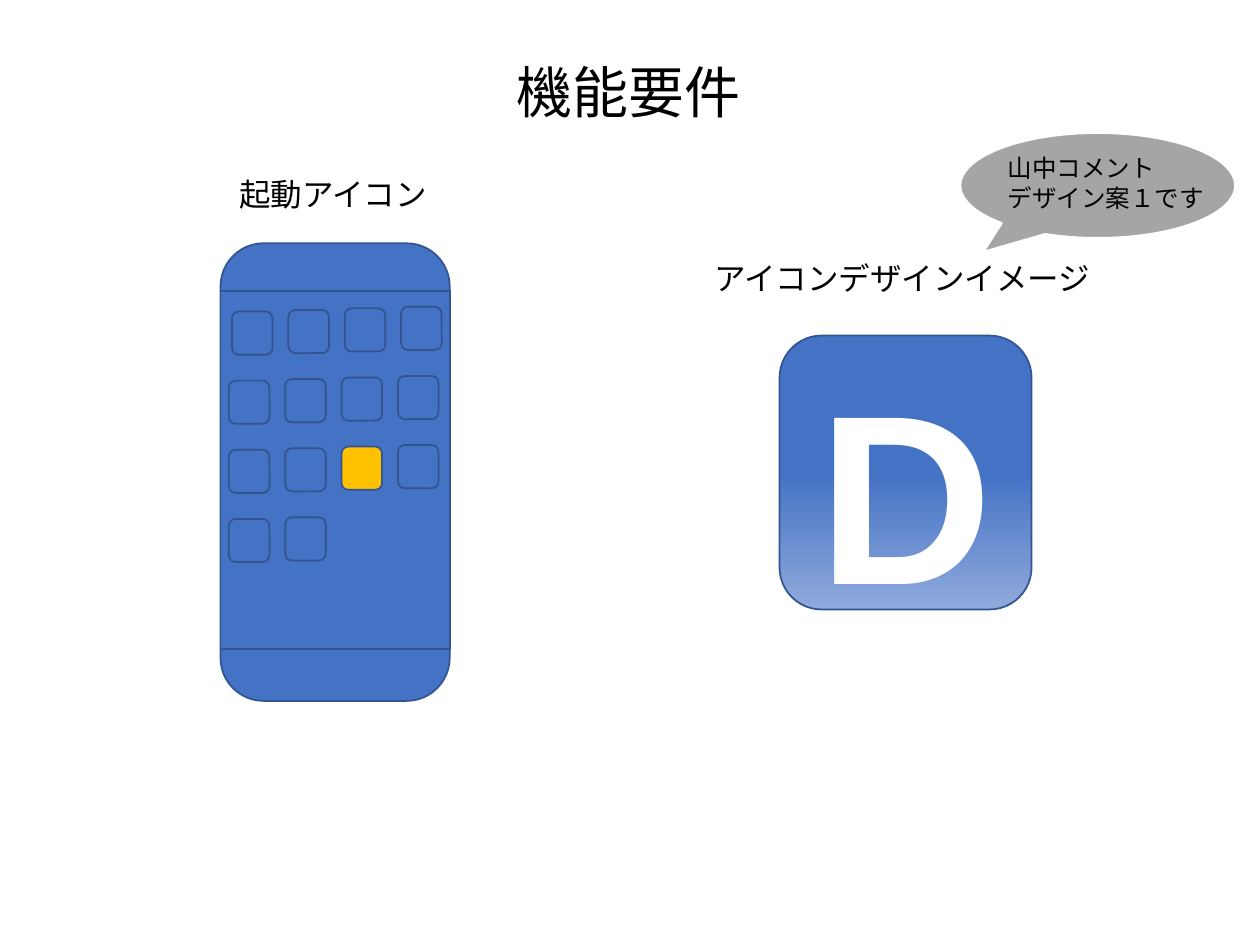
from copy import deepcopy

from lxml import etree
from pptx import Presentation
from pptx import util as u
from pptx.dml.color import RGBColor
from pptx.enum import shapes, text
from pptx.oxml.ns import qn

COLOURS = {
    "blue": "4472C4",
    "pale blue": "8FAADC",
    "outline": "325491",
    "gold": "FFC000",
    "grey": "A5A5A5",
    "white": "FFFFFF",
    "black": "000000",
}
JAPANESE, LATIN = "Noto Sans CJK JP", "Arial"
SHAPE = shapes.MSO_SHAPE


def colour(name):
    return RGBColor.from_string(COLOURS[name])


class SlideBuilder:
    """Holds the style and the current slide; all lengths are in points."""

    def __init__(self, page, line="outline", weight=1):
        self.page = page
        self.line = line
        self.weight = weight

    def shape(self, kind, frame, fill="blue", line=None, weight=None, adjust=()):
        item = self.page.shapes.add_shape(kind, *map(u.Pt, frame))
        item.shadow.inherit = False
        item.fill.solid()
        item.fill.fore_color.rgb = colour(fill)
        item.line.color.rgb = colour(line or self.line)
        item.line.width = u.Pt(weight or self.weight)
        for index, value in enumerate(adjust):
            item.adjustments[index] = value
        return item

    def gradient_shape(self, kind, frame, stops):
        item = self.shape(kind, frame)
        item.fill.gradient()
        item.fill.gradient_angle = 270  # downwards
        stop_list = item.fill.gradient_stops[0]._gs.getparent()
        while len(stop_list) < len(stops):
            stop_list.append(deepcopy(stop_list[0]))
        for stop, (position, name) in zip(item.fill.gradient_stops, stops):
            stop.position = position
            stop.color.rgb = colour(name)

    def label(self, frame, words, size, font=JAPANESE, fill="black", bold=False,
              align=text.PP_ALIGN.LEFT, anchor=text.MSO_ANCHOR.TOP):
        box = self.page.shapes.add_textbox(*map(u.Pt, frame))
        body = box.text_frame
        body.text = words
        body.word_wrap = False
        body.auto_size = text.MSO_AUTO_SIZE.SHAPE_TO_FIT_TEXT
        body.vertical_anchor = anchor
        for para in body.paragraphs:
            para.alignment = align
            for span in para.runs:
                span.font.size = u.Pt(size)
                span.font.bold = bold
                span.font.color.rgb = colour(fill)
                span.font.name = font
                # East Asian typeface
                etree.SubElement(span.font._element, qn("a:ea"), typeface=font)


def main():
    deck = Presentation()
    deck.slide_width, deck.slide_height = u.Pt(720), u.Pt(540)
    page = deck.slides.add_slide(deck.slide_layouts[6])
    builder = SlideBuilder(page)

    # Phone body and screen
    builder.shape(SHAPE.ROUNDED_RECTANGLE, (126, 139, 131, 261.5), adjust=[0.188])
    builder.shape(SHAPE.RECTANGLE, (126, 166.5, 131, 204.5))

    # App icons: each row climbs slightly, the first sits a little to the right
    for row, count in enumerate((4, 4, 4, 2)):
        left = 132.6 if row == 0 else 130.8
        for column in reversed(range(count)):
            builder.shape(
                SHAPE.ROUNDED_RECTANGLE,
                (left + 32.2 * column, 178 + 39.5 * row - 0.9 * column, 23.2, 24.7),
                fill="gold" if (row, column) == (2, 2) else "blue",
            )
    builder.label((129.6, 96.5, 124, 29), "起動アイコン", 18)

    # Slide title
    builder.label((288, 29.5, 144, 46), "機能要件", 32)

    # Icon design
    builder.gradient_shape(SHAPE.ROUNDED_RECTANGLE, (445.5, 191.75, 144, 156.5),
                           [(0, "blue"), (0.5, "blue"), (1, "pale blue")])
    builder.label((456.5, 191.5, 122.4, 174.5), "D", 138, font=LATIN, fill="white",
                  bold=True, align=text.PP_ALIGN.CENTER, anchor=text.MSO_ANCHOR.MIDDLE)
    builder.label((401, 144.7, 232.6, 29), "アイコンデザインイメージ", 18)

    # Comment bubble
    builder.shape(SHAPE.OVAL_CALLOUT, (548.6, 75.8, 157.4, 60.4), fill="grey",
                  line="white", weight=1.5, adjust=[-0.417, 0.632])
    builder.label((568.8, 84.2, 127.4, 41), "山中コメント\nデザイン案１です", 14)

    deck.save("out.pptx")


if __name__ == "__main__":
    main()
